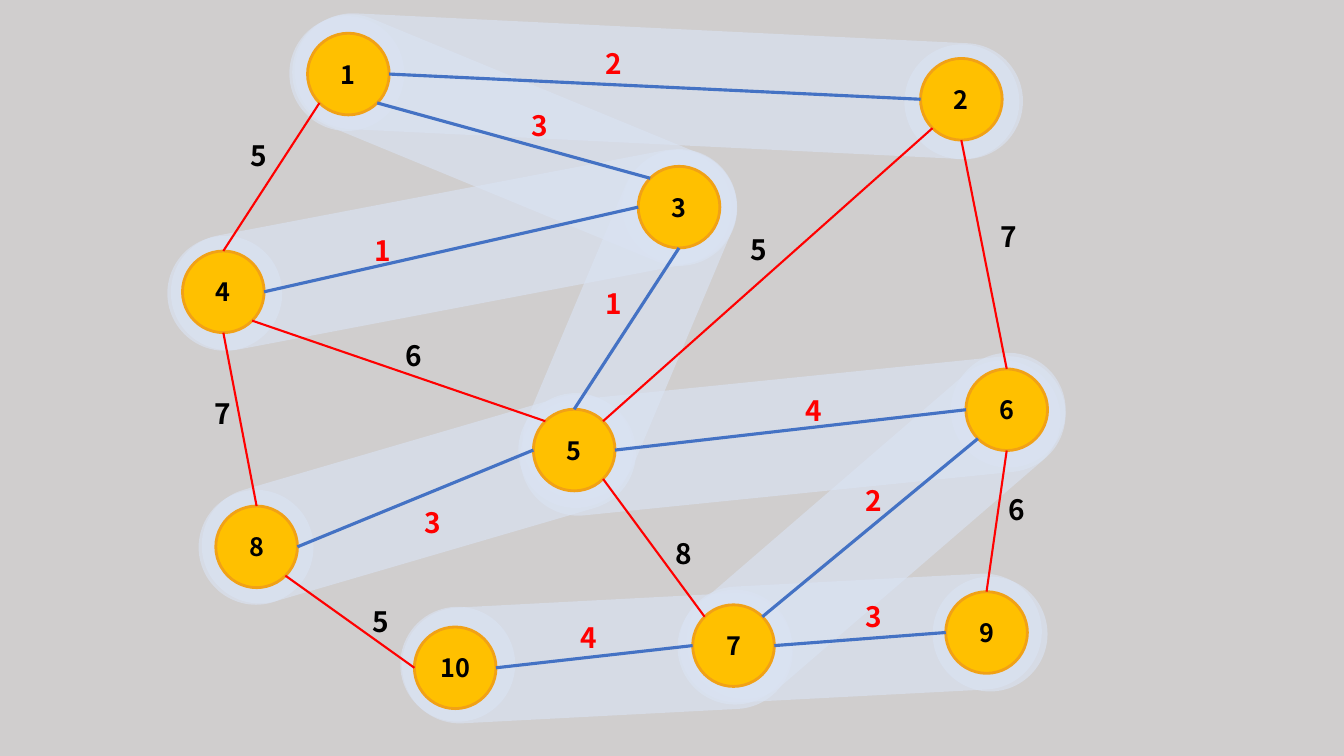
import math
from dataclasses import dataclass

import lxml.etree
import pptx
import pptx.dml.color
import pptx.enum.shapes
import pptx.enum.text
import pptx.oxml.ns
import pptx.util

Inches = pptx.util.Inches
Shape = pptx.enum.shapes.MSO_SHAPE
Align = pptx.enum.text.PP_ALIGN
qn = pptx.oxml.ns.qn


@dataclass(frozen=True)
class Theme:
    back: str = "D0CECE"
    halo: str = "DAE3F3"
    node: str = "FFC000"
    rim: str = "F1A116"
    tree: str = "4472C4"
    rest: str = "FF0000"
    ink: str = "000000"
    mark: str = "FF0000"
    font: str = "Noto Sans CJK KR"
    name_size: float = 18
    cost_size: float = 20
    rim_width: float = 2
    tree_width: float = 2.25
    rest_width: float = 1.5
    halo_alpha: int = 63


NODE = 0.81
HALO = 1.14
BAND = 1.15

# Left and top of each node
NODES = {
    1: (3.05, 0.33), 2: (9.13, 0.58), 3: (6.33, 1.65), 4: (1.81, 2.49),
    5: (5.29, 4.06), 6: (9.58, 3.66), 7: (6.87, 6.0), 8: (2.14, 5.02),
    9: (9.38, 5.87), 10: (4.11, 6.22),
}

# Left and top of the halo behind each node
HALOS = {
    1: (2.87, 0.16), 2: (8.97, 0.44), 3: (6.17, 1.48), 4: (1.66, 2.34),
    5: (5.14, 3.9), 6: (9.43, 3.5), 7: (6.72, 5.85), 8: (1.97, 4.86),
    9: (9.25, 5.72), 10: (3.97, 6.02),
}

# Left, top, length and turn of the band behind each tree edge
BANDS = [
    (5.35, 4.59, 3.88, 267), (7.96, 4.53, 3.6, 267), (8.09, 2.99, 4.53, 229.2),
    (7.29, 1.61, 5.43, 264.2), (5.96, -2.76, 7.23, 272.8),
    (4.53, -0.95, 4.68, 292.4), (3.9, -0.34, 5.64, 259.2),
    (5.67, 1.39, 3.66, 202.8), (3.58, 2.73, 4.44, 253.7),
]

# Connection sites of an ellipse, counted anticlockwise from the top
SITES = ["N", "NW", "W", "SW", "S", "SE", "E", "NE"]

# From node and site, to node and site, cost, left and top of the cost
TREE = [
    (3, "NW", 1, "SE", 3, 5.17, 1.03),
    (2, "W", 1, "E", 2, 5.91, 0.41),
    (3, "S", 5, "N", 1, 5.91, 2.79),
    (3, "W", 4, "E", 1, 3.62, 2.27),
    (5, "W", 8, "E", 3, 4.11, 4.97),
    (6, "W", 5, "E", 4, 7.89, 3.85),
    (6, "SW", 7, "NE", 2, 8.49, 4.75),
    (10, "E", 7, "W", 4, 5.66, 6.11),
    (9, "W", 7, "E", 3, 8.49, 5.9),
]
REST = [
    (4, "N", 1, "SW", 5, 2.39, 1.32),
    (2, "S", 6, "N", 7, 9.82, 2.13),
    (2, "SW", 5, "NE", 5, 7.35, 2.26),
    (4, "S", 8, "N", 7, 2.03, 3.88),
    (5, "NW", 4, "SE", 6, 3.92, 3.31),
    (5, "SE", 7, "NW", 8, 6.6, 5.27),
    (9, "N", 6, "S", 6, 9.9, 4.84),
    (10, "W", 8, "SE", 5, 3.6, 5.95),
]


def rgb(code):
    return pptx.dml.color.RGBColor.from_string(code)


def write(frame, text, *, size, color, font, align=Align.LEFT, wrap=False):
    frame.word_wrap = wrap
    line = frame.paragraphs[0]
    line.alignment = align
    run = line.add_run()
    run.text = text
    run.font.name = font
    run.font.size = pptx.util.Pt(size)
    run.font.bold = True
    run.font.color.rgb = rgb(color)


def port(node, site):
    """Return the point on the rim of a node at the named site."""
    left, top = NODES[node]
    turn = math.radians(90 + 45 * SITES.index(site))
    half = NODE / 2
    return (Inches(left + half + half * math.cos(turn)),
            Inches(top + half - half * math.sin(turn)))


class Graph:
    """Draws a weighted graph on one slide in one theme."""

    def __init__(self, slide, theme):
        self.slide = slide
        self.theme = theme
        self.nodes = {}
        fill = slide.background.fill
        fill.solid()
        fill.fore_color.rgb = rgb(theme.back)

    def shape(self, kind, left, top, width, height, color):
        item = self.slide.shapes.add_shape(
            kind, Inches(left), Inches(top), Inches(width), Inches(height))
        item.shadow.inherit = False
        item.fill.solid()
        item.fill.fore_color.rgb = rgb(color)
        item.line.fill.background()
        return item

    def glow(self, kind, left, top, width, height):
        """Add a translucent shape without an outline."""
        item = self.shape(kind, left, top, width, height, self.theme.halo)
        tint = item.fill._xPr.find(qn("a:solidFill"))[0]
        alpha = lxml.etree.SubElement(tint, qn("a:alpha"))
        alpha.set("val", str(self.theme.halo_alpha * 1000))
        return item

    def band(self, left, top, length, turn):
        item = self.glow(Shape.ROUNDED_RECTANGLE, left, top, BAND, length)
        item.adjustments[0] = 0.5
        item.rotation = turn

    def halo(self, left, top):
        self.glow(Shape.OVAL, left, top, HALO, HALO)

    def node(self, name, left, top):
        look = self.theme
        item = self.shape(Shape.OVAL, left, top, NODE, NODE, look.node)
        item.line.color.rgb = rgb(look.rim)
        item.line.width = pptx.util.Pt(look.rim_width)
        item.text_frame.vertical_anchor = pptx.enum.text.MSO_ANCHOR.MIDDLE
        write(item.text_frame, str(name), size=look.name_size, color=look.ink,
              font=look.font, align=Align.CENTER, wrap=True)
        self.nodes[name] = item

    def edge(self, start, start_site, end, end_site, color, width):
        """Add a line that stays glued to the sites of both nodes."""
        item = self.slide.shapes.add_connector(
            pptx.enum.shapes.MSO_CONNECTOR.STRAIGHT,
            *port(start, start_site), *port(end, end_site))
        item.line.color.rgb = rgb(color)
        item.line.width = pptx.util.Pt(width)
        lxml.etree.SubElement(item._element.spPr, qn("a:effectLst"))
        links = item._element.nvCxnSpPr.cNvCxnSpPr
        for tag, node, site in (("a:stCxn", start, start_site),
                                ("a:endCxn", end, end_site)):
            link = lxml.etree.SubElement(links, qn(tag))
            link.set("id", str(self.nodes[node].shape_id))
            link.set("idx", str(SITES.index(site)))

    def cost(self, value, left, top, color):
        box = self.slide.shapes.add_textbox(
            Inches(left), Inches(top), Inches(0.36), Inches(0.44))
        write(box.text_frame, str(value), size=self.theme.cost_size,
              color=color, font=self.theme.font)


def main():
    deck = pptx.Presentation()
    deck.slide_width = Inches(13.33)
    deck.slide_height = Inches(7.5)
    look = Theme()
    graph = Graph(deck.slides.add_slide(deck.slide_layouts[6]), look)

    for band in BANDS:
        graph.band(*band)
    for place in HALOS.values():
        graph.halo(*place)
    for name, place in NODES.items():
        graph.node(name, *place)
    for edges, color, width, ink in (
            (TREE, look.tree, look.tree_width, look.mark),
            (REST, look.rest, look.rest_width, look.ink)):
        for *ends, value, left, top in edges:
            graph.edge(*ends, color, width)
            graph.cost(value, left, top, ink)

    deck.save("out.pptx")


if __name__ == "__main__":
    main()
